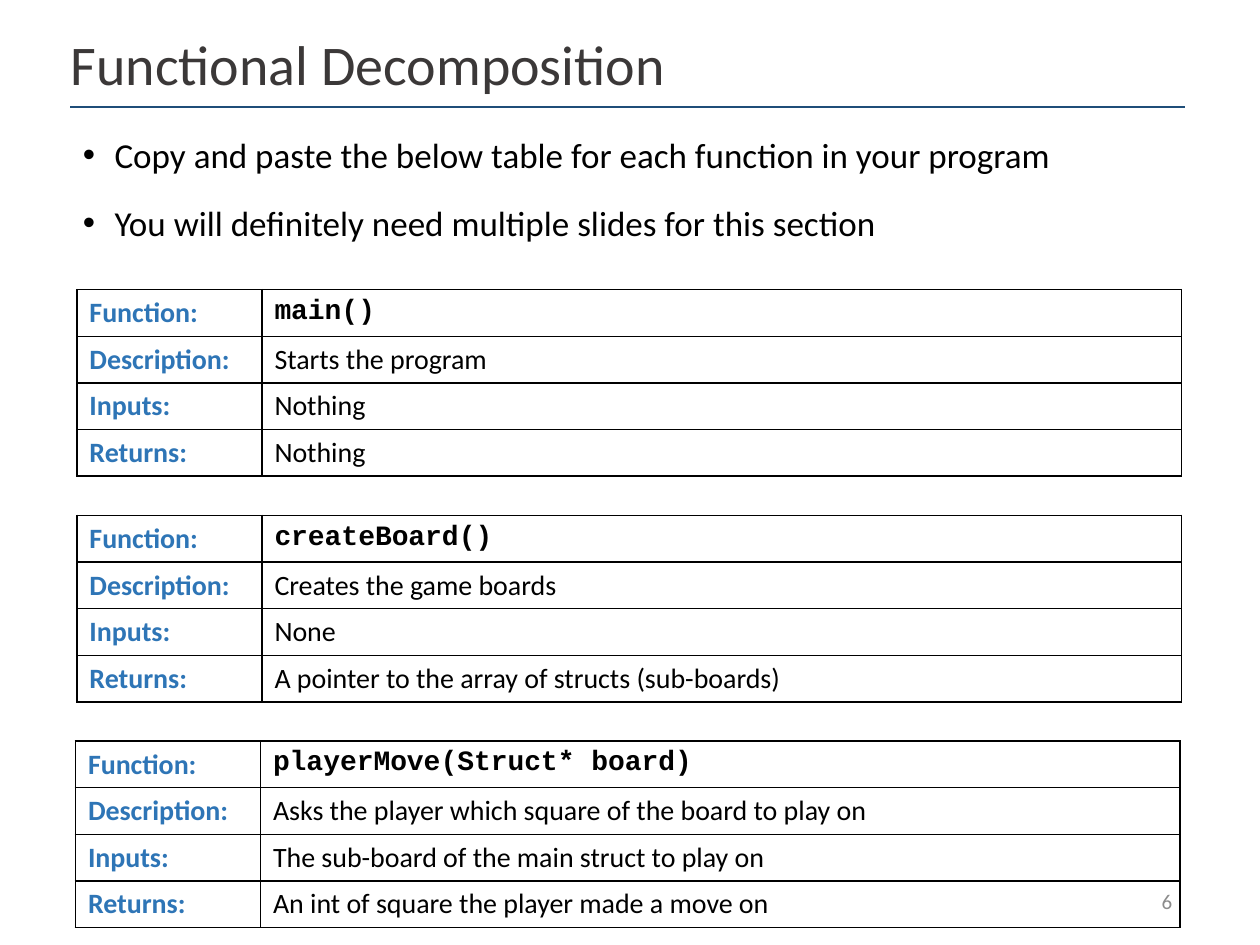
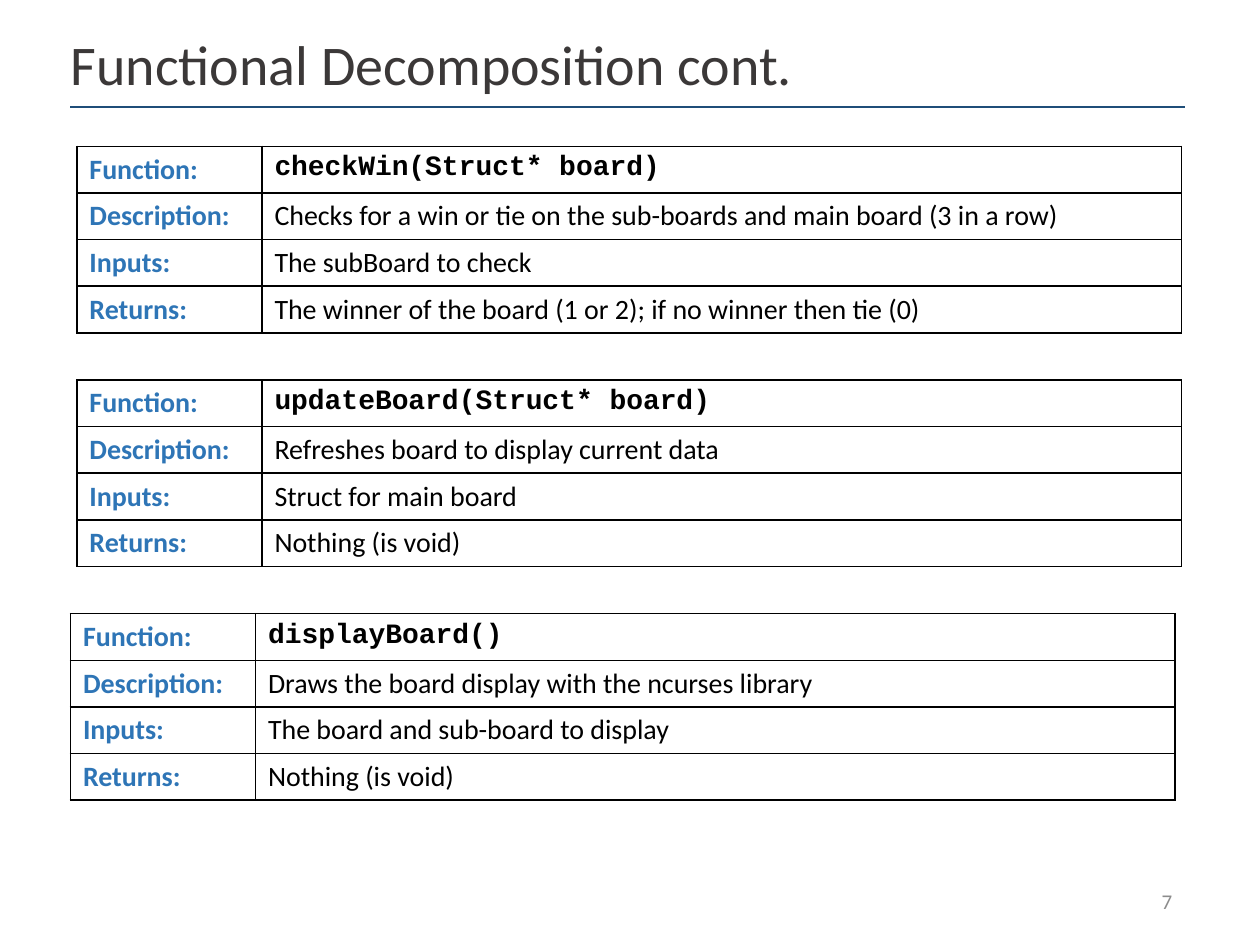
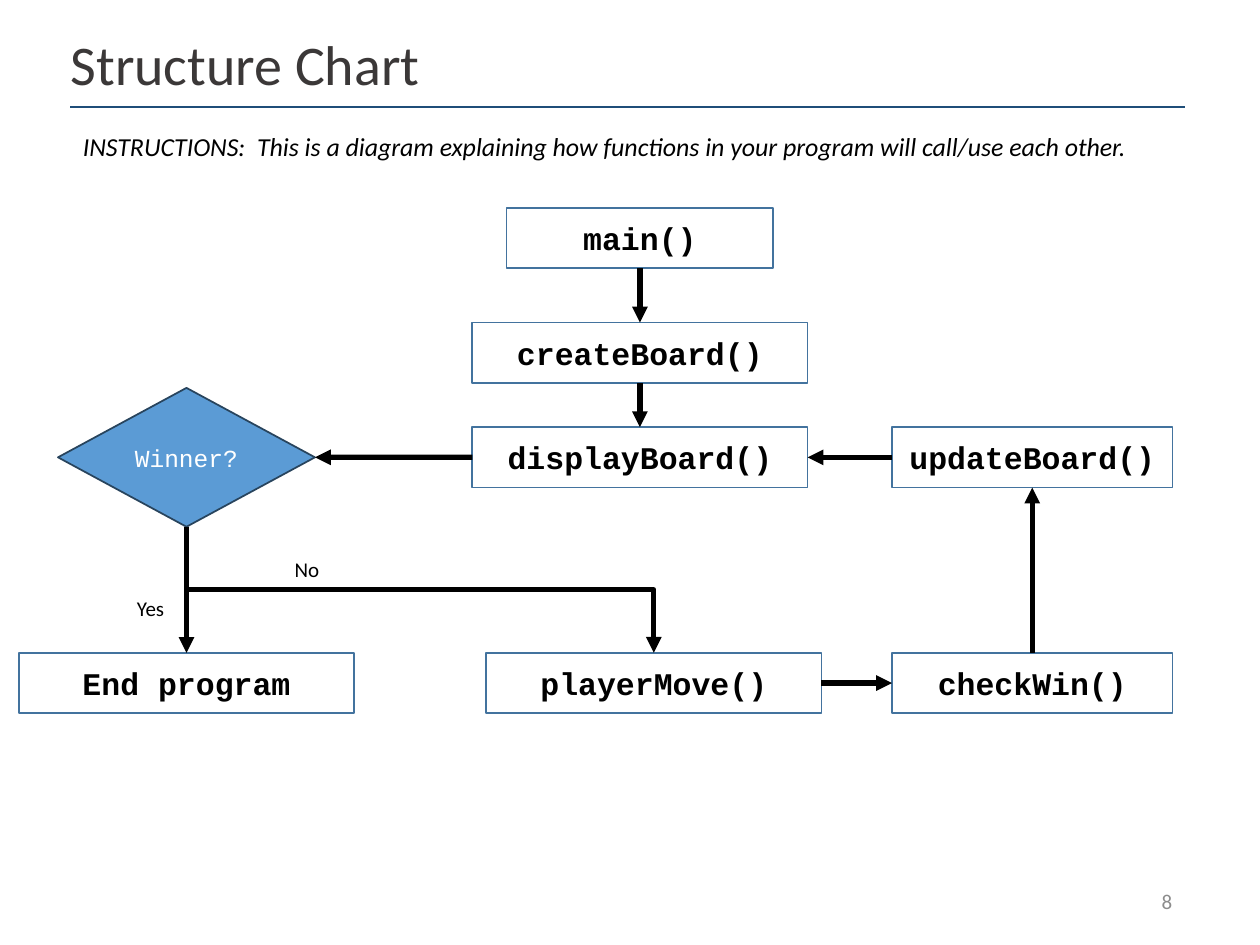
from lxml import etree
from pptx import Presentation
from pptx.dml.color import RGBColor
from pptx.enum.shapes import MSO_CONNECTOR, MSO_SHAPE
from pptx.enum.text import MSO_ANCHOR, MSO_AUTO_SIZE, PP_ALIGN
from pptx.oxml.ns import qn
from pptx.util import Cm, Pt

LEFT, CENTER, RIGHT = PP_ALIGN.LEFT, PP_ALIGN.CENTER, PP_ALIGN.RIGHT
TOP, MIDDLE = MSO_ANCHOR.TOP, MSO_ANCHOR.MIDDLE
RECTANGLE, DIAMOND = MSO_SHAPE.RECTANGLE, MSO_SHAPE.DIAMOND
STRAIGHT, ELBOW = MSO_CONNECTOR.STRAIGHT, MSO_CONNECTOR.ELBOW
SITE_TOP, SITE_LEFT, SITE_BOTTOM, SITE_RIGHT = range(4)

COLORS = {
    "title": "3B3838", "rule": "1F4E79", "page": "8C8C8C", "text": "000000",
    "label": "2E75B6", "box_line": "43739E", "diamond": "5B9BD5",
    "diamond_line": "28445D", "white": "FFFFFF",
}
BODY_FONT, CODE_FONT = "Calibri", "Courier New"

# Boxes are left, top, width, height in centimetres
TITLE_BOX = (1.17, 0.58, 22.73, 1.55)
PAGE_BOX = (18.16, 17.65, 5.72, 1.02)
RULE_LEFT, RULE_RIGHT, RULE_TOP = 1.42, 23.88, 2.16
BODY_LEFT, BODY_TOP, BODY_WIDTH = 1.42, 2.39, 22.48
CHART_BOX = (0.38, 4.19, 23.27, 10.19)

LABEL_WIDTH, VALUE_WIDTH, ROW_HEIGHT = 3.73, 18.54, 0.94
FIELDS = ("Function:", "Description:", "Inputs:", "Returns:")

# Each table: left edge, then one value per field
FIRST_TABLES = [
    (1.55, "main()", "Starts the program", "Nothing", "Nothing"),
    (1.55, "createBoard()", "Creates the game boards", "None",
     "A pointer to the array of structs (sub-boards)"),
    (1.52, "playerMove(Struct* board)",
     "Asks the player which square of the board to play on",
     "The sub-board of the main struct to play on",
     "An int of square the player made a move on"),
]
SECOND_TABLES = [
    (1.55, "checkWin(Struct* board)",
     "Checks for a win or tie on the sub-boards and main board (3 in a row)",
     "The subBoard to check",
     "The winner of the board (1 or 2); if no winner then tie (0)"),
    (1.55, "updateBoard(Struct* board)",
     "Refreshes board to display current data",
     "Struct for main board", "Nothing (is void)"),
    (1.42, "displayBoard()",
     "Draws the board display with the ncurses library",
     "The board and sub-board to display", "Nothing (is void)"),
]

# Flow chart boxes: left, top, width relative to the chart
BOX_HEIGHT = 1.22
CALL_ROW, LAST_ROW = 4.42, 8.97
STEPS = {
    "main()": (9.83, 0, 5.38),
    "createBoard()": (9.14, 2.31, 6.76),
    "displayBoard()": (9.14, CALL_ROW, 6.76),
    "updateBoard()": (17.6, CALL_ROW, 5.66),
    "End program": (0, LAST_ROW, 6.76),
    "playerMove()": (9.42, LAST_ROW, 6.76),
    "checkWin()": (17.6, LAST_ROW, 5.66),
}
DECISION = "Winner?"
ARROWS = [
    ("main()", SITE_BOTTOM, "createBoard()", SITE_TOP),
    ("createBoard()", SITE_BOTTOM, "displayBoard()", SITE_TOP),
    ("displayBoard()", SITE_LEFT, DECISION, SITE_RIGHT),
    ("updateBoard()", SITE_LEFT, "displayBoard()", SITE_RIGHT),
    ("checkWin()", SITE_TOP, "updateBoard()", SITE_BOTTOM),
    ("playerMove()", SITE_RIGHT, "checkWin()", SITE_LEFT),
    (DECISION, SITE_BOTTOM, "End program", SITE_TOP),
]
ANSWERS = {"Yes": (2.13, 7.7), "No": (5.31, 6.91)}


def color(name):
    return RGBColor.from_string(COLORS[name])


def lengths(box):
    return [Cm(value) for value in box]


def write_text(frame, text, size, ink="text", font=BODY_FONT, bold=False,
               italic=False, align=LEFT, anchor=TOP, spacing=None,
               before=None, bullet=False):
    """Fill a text frame; each line of the text becomes a paragraph."""
    frame.word_wrap = True
    frame.vertical_anchor = anchor
    frame.text = text
    for paragraph in frame.paragraphs:
        paragraph.alignment = align
        if spacing:
            paragraph.line_spacing = spacing
        if before:
            paragraph.space_before = Pt(before)
        if bullet:
            properties = paragraph._p.get_or_add_pPr()
            properties.set("marL", str(Cm(0.64)))
            properties.set("indent", str(-Cm(0.64)))
            etree.SubElement(properties, qn("a:buFont"), typeface="Arial")
            etree.SubElement(properties, qn("a:buChar"), char="•")
        for run in paragraph.runs:
            run.font.name = font
            run.font.size = Pt(size)
            run.font.bold = bold
            run.font.italic = italic
            run.font.color.rgb = color(ink)


def add_text(slide, box, text, size, **text_format):
    frame = slide.shapes.add_textbox(*lengths(box)).text_frame
    write_text(frame, text, size, **text_format)


def add_line(slide, kind, ends, ink, width, arrow=False):
    connector = slide.shapes.add_connector(kind, *lengths(ends))
    connector.line.color.rgb = color(ink)
    connector.line.width = Pt(width)
    properties = connector._element.spPr
    if arrow:
        etree.SubElement(properties.find(qn("a:ln")), qn("a:tailEnd"), type="triangle")
    etree.SubElement(properties, qn("a:effectLst"))
    return connector


def add_base_slide(presentation, title, page):
    """Add a slide with title, rule and page number."""
    slide = presentation.slides.add_slide(presentation.slide_layouts[5])
    shape = slide.shapes.title
    shape.left, shape.top, shape.width, shape.height = lengths(TITLE_BOX)
    write_text(shape.text_frame, title, 32, ink="title", anchor=MIDDLE, spacing=0.9)
    shape.text_frame.auto_size = MSO_AUTO_SIZE.NONE
    add_line(slide, STRAIGHT, (RULE_LEFT, RULE_TOP, RULE_RIGHT, RULE_TOP), "rule", 1)
    add_text(slide, PAGE_BOX, str(page), 12, ink="page", align=RIGHT, anchor=MIDDLE)
    return slide


def add_body(slide, height, text, size, **text_format):
    add_text(slide, (BODY_LEFT, BODY_TOP, BODY_WIDTH, height), text, size,
             spacing=1.2, before=10, **text_format)


def format_cell(cell, text, **text_format):
    write_text(cell.text_frame, text, 16, **text_format)
    properties = cell._tc.get_or_add_tcPr()
    for side in ("lnL", "lnR", "lnT", "lnB"):
        border = etree.SubElement(properties, qn(f"a:{side}"), w=str(Pt(1)))
        fill = etree.SubElement(border, qn("a:solidFill"))
        etree.SubElement(fill, qn("a:srgbClr"), val=COLORS["text"])
    cell.fill.background()


def add_function_table(slide, left, top, values):
    box = (left, top, LABEL_WIDTH + VALUE_WIDTH, ROW_HEIGHT * len(FIELDS))
    table = slide.shapes.add_table(len(FIELDS), 2, *lengths(box)).table
    table.first_row = table.horz_banding = False
    table.columns[0].width = Cm(LABEL_WIDTH)
    table.columns[1].width = Cm(VALUE_WIDTH)
    for row, (field, value) in enumerate(zip(FIELDS, values)):
        is_name = row == 0
        format_cell(table.cell(row, 0), field, ink="label", bold=True)
        format_cell(table.cell(row, 1), value, bold=is_name,
                    font=CODE_FONT if is_name else BODY_FONT)


def add_function_tables(slide, top, step, tables):
    for index, (left, *values) in enumerate(tables):
        add_function_table(slide, left, top + index * step, values)


def add_node(slide, kind, box, text, size, line, fill=None, **text_format):
    shape = slide.shapes.add_shape(kind, *lengths(box))
    shape.shadow.inherit = False
    if fill:
        shape.fill.solid()
        shape.fill.fore_color.rgb = color(fill)
    else:
        shape.fill.background()
    shape.line.color.rgb = color(line)
    shape.line.width = Pt(1)
    write_text(shape.text_frame, text, size, font=CODE_FONT, align=CENTER,
               anchor=MIDDLE, **text_format)
    return shape


def join(slide, kind, start, start_site, end, end_site):
    connector = add_line(slide, kind, (0, 0, 0, 0), "text", 3, arrow=True)
    connector.begin_connect(start, start_site)
    connector.end_connect(end, end_site)
    return connector


def join_down(slide, start, end):
    """Join bottom to top with an elbow that leaves downwards."""
    connector = join(slide, ELBOW, start, SITE_BOTTOM, end, SITE_TOP)
    across, down = connector.width, connector.height
    connector.left += (across - down) // 2
    connector.top += (down - across) // 2
    connector.width, connector.height = down, across
    transform = connector._element.spPr.find(qn("a:xfrm"))
    transform.set("rot", "16200000")
    transform.set("flipH", "1")


def add_structure_chart(slide, box):
    left, top = box[:2]
    # Function boxes and decision
    nodes = {
        name: add_node(slide, RECTANGLE, (left + x, top + y, width, BOX_HEIGHT),
                       name, 18, "box_line", bold=True)
        for name, (x, y, width) in STEPS.items()
    }
    nodes[DECISION] = add_node(slide, DIAMOND, (left + 0.79, top + 3.63, 5.18, 2.8),
                               DECISION, 14, "diamond_line", fill="diamond", ink="white")
    # Arrows
    for start, start_site, end, end_site in ARROWS:
        join(slide, STRAIGHT, nodes[start], start_site, nodes[end], end_site)
    join_down(slide, nodes[DECISION], nodes["playerMove()"])
    # Answers
    for answer, (x, y) in ANSWERS.items():
        add_text(slide, (left + x, top + y, 1.27, 0.76), answer, 12)


def main():
    presentation = Presentation()
    presentation.slide_width, presentation.slide_height = Cm(25.4), Cm(19.05)

    slide = add_base_slide(presentation, "Functional Decomposition", 6)
    add_body(slide, 2.79,
             "Copy and paste the below table for each function in your program\n"
             "You will definitely need multiple slides for this section",
             20, bullet=True)
    add_function_tables(slide, 5.84, 4.55, FIRST_TABLES)

    slide = add_base_slide(presentation, "Functional Decomposition cont.", 7)
    add_function_tables(slide, 2.95, 4.71, SECOND_TABLES)

    slide = add_base_slide(presentation, "Structure Chart", 8)
    add_body(slide, 1.55,
             "INSTRUCTIONS:  This is a diagram explaining how functions "
             "in your program will call/use each other.", 14.8, italic=True)
    add_structure_chart(slide, CHART_BOX)

    presentation.save("out.pptx")


if __name__ == "__main__":
    main()
